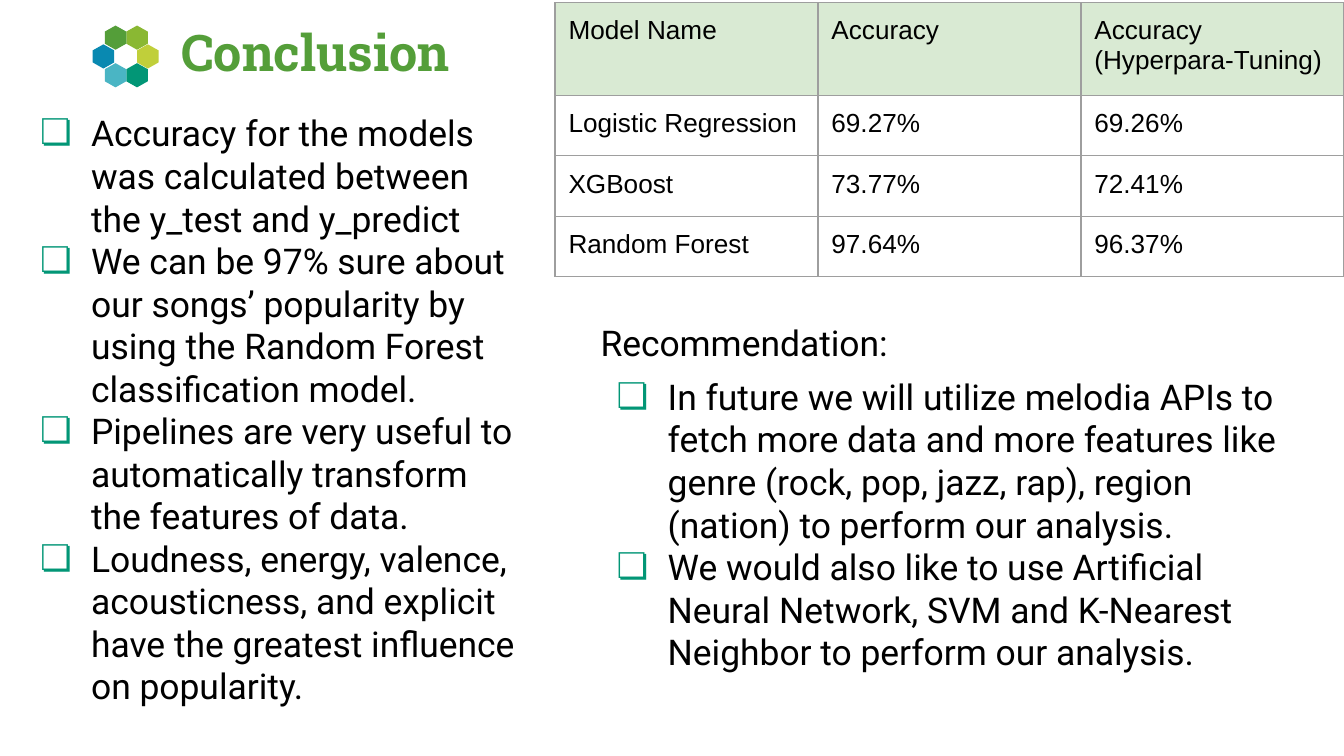
from lxml import etree
from pptx import Presentation
from pptx.dml.color import RGBColor
from pptx.enum.text import MSO_ANCHOR
from pptx.oxml.ns import qn
from pptx.util import Inches, Pt

BLACK = RGBColor(0x00, 0x00, 0x00)
GREEN = RGBColor(0x54, 0x9E, 0x39)
LIME = RGBColor(0x8A, 0xB8, 0x33)
YELLOW_GREEN = RGBColor(0xC0, 0xCF, 0x3A)
TEAL = RGBColor(0x02, 0x96, 0x76)
AQUA = RGBColor(0x4A, 0xB5, 0xC4)
BLUE = RGBColor(0x09, 0x89, 0xB1)
HEADER_FILL = RGBColor(0xD9, 0xEA, 0xD3)
BORDER = RGBColor(0x9E, 0x9E, 0x9E)

ANCHOR_TOP = MSO_ANCHOR.TOP
ANCHOR_BOTTOM = MSO_ANCHOR.BOTTOM
MARGIN = Inches(0.1)

FINDINGS = [
    "Accuracy for the models was calculated between the y_test and y_predict",
    "We can be 97% sure about our songs’ popularity by using the Random Forest "
    "classification model.",
    "Pipelines are very useful to automatically transform the features of data.",
    "Loudness, energy, valence, acousticness, and explicit have the greatest "
    "influence on popularity.",
]
RECOMMENDATIONS = [
    "In future we will utilize melodia APIs to fetch more data and more features "
    "like genre (rock, pop, jazz, rap), region (nation) to perform our analysis.",
    "We would also like to use Artificial Neural Network, SVM and K-Nearest "
    "Neighbor to perform our analysis.",
]
ACCURACY_ROWS = [
    ["Model Name", "Accuracy", "Accuracy (Hyperpara-Tuning)"],
    ["Logistic Regression", "69.27%", "69.26%"],
    ["XGBoost", "73.77%", "72.41%"],
    ["Random Forest", "97.64%", "96.37%"],
]
HEXAGONS = [
    (0.94, 0.19, LIME),
    (0.78, 0.19, GREEN),
    (0.69, 0.33, BLUE),
    (1.02, 0.33, YELLOW_GREEN),
    (0.94, 0.47, TEAL),
    (0.78, 0.47, AQUA),
]


def write_text(paragraph, text, font="Roboto", size=19, color=BLACK, bold=False,
               space_before=0, bullet=False):
    run = paragraph.add_run()
    run.text = text
    run.font.name = font
    run.font.size = Pt(size)
    run.font.color.rgb = color
    run.font.bold = bold
    paragraph.space_before = Pt(space_before)
    if bullet:
        add_bullet(paragraph)


def add_bullet(paragraph):
    properties = paragraph._p.get_or_add_pPr()
    properties.set("marL", str(Inches(0.5)))
    properties.set("indent", str(Inches(-0.38)))
    bullet_color = etree.SubElement(properties, qn("a:buClr"))
    etree.SubElement(bullet_color, qn("a:srgbClr"), val=str(TEAL))
    etree.SubElement(properties, qn("a:buFont"), typeface="Roboto")
    etree.SubElement(properties, qn("a:buChar"), char="❏")


def add_text_box(slide, left, top, width, height, anchor=ANCHOR_TOP):
    """Add an empty wrapped text box and return its text frame."""
    box = slide.shapes.add_textbox(Inches(left), Inches(top),
                                   Inches(width), Inches(height))
    frame = box.text_frame
    frame.word_wrap = True
    frame.vertical_anchor = anchor
    frame.margin_left = frame.margin_right = MARGIN
    frame.margin_top = frame.margin_bottom = MARGIN
    return frame


def add_bullet_list(frame, items, first_paragraph):
    for index, item in enumerate(items):
        paragraph = frame.add_paragraph() if index else first_paragraph
        write_text(paragraph, item, bullet=True, space_before=0 if index else 6)


def add_hexagon(slide, left, top, color, width=0.16, height=0.18):
    right, middle = left + width, left + width / 2
    upper, lower = top + height / 4, top + height * 3 / 4
    corners = [(right, upper), (right, lower), (middle, top + height),
               (left, lower), (left, upper)]
    builder = slide.shapes.build_freeform(Inches(middle), Inches(top), scale=1.0)
    builder.add_line_segments([(Inches(x), Inches(y)) for x, y in corners])
    hexagon = builder.convert_to_shape()
    hexagon.fill.solid()
    hexagon.fill.fore_color.rgb = color
    hexagon.line.fill.background()
    hexagon.shadow.inherit = False


def set_cell_borders(cell):
    properties = cell._tc.get_or_add_tcPr()
    for position, side in enumerate(("a:lnL", "a:lnR", "a:lnT", "a:lnB")):
        line = etree.Element(qn(side), w=str(Pt(0.75)))
        fill = etree.SubElement(line, qn("a:solidFill"))
        etree.SubElement(fill, qn("a:srgbClr"), val=str(BORDER))
        properties.insert(position, line)


def add_accuracy_table(slide):
    table = slide.shapes.add_table(
        len(ACCURACY_ROWS), len(ACCURACY_ROWS[0]),
        Inches(4.13), Inches(0.02), Inches(5.87), Inches(2.03)).table
    for row_index, values in enumerate(ACCURACY_ROWS):
        table.rows[row_index].height = Inches(0.45 if row_index else 0.69)
        for cell, value in zip(table.rows[row_index].cells, values):
            cell.margin_left = cell.margin_right = MARGIN
            cell.margin_top = cell.margin_bottom = MARGIN
            if row_index:
                cell.fill.background()
            else:
                cell.fill.solid()
                cell.fill.fore_color.rgb = HEADER_FILL
            set_cell_borders(cell)
            write_text(cell.text_frame.paragraphs[0], value, font="Arial", size=14)


def main():
    presentation = Presentation()
    presentation.slide_width = Inches(10)
    presentation.slide_height = Inches(10 * 9 / 16)
    slide = presentation.slides.add_slide(presentation.slide_layouts[6])

    title = add_text_box(slide, 1.25, 0.19, 8.28, 0.52, anchor=ANCHOR_BOTTOM)
    write_text(title.paragraphs[0], "Conclusion", font="Roboto Slab", size=27,
               color=GREEN, bold=True)

    findings = add_text_box(slide, 0.08, 0.73, 3.87, 4.9)
    add_bullet_list(findings, FINDINGS, findings.paragraphs[0])

    for left, top, color in HEXAGONS:
        add_hexagon(slide, left, top, color)
    add_accuracy_table(slide)

    recommendations = add_text_box(slide, 4.37, 2.29, 5.33, 2.94)
    write_text(recommendations.paragraphs[0], "Recommendation:", space_before=6)
    add_bullet_list(recommendations, RECOMMENDATIONS, recommendations.add_paragraph())

    presentation.save("out.pptx")


if __name__ == "__main__":
    main()
